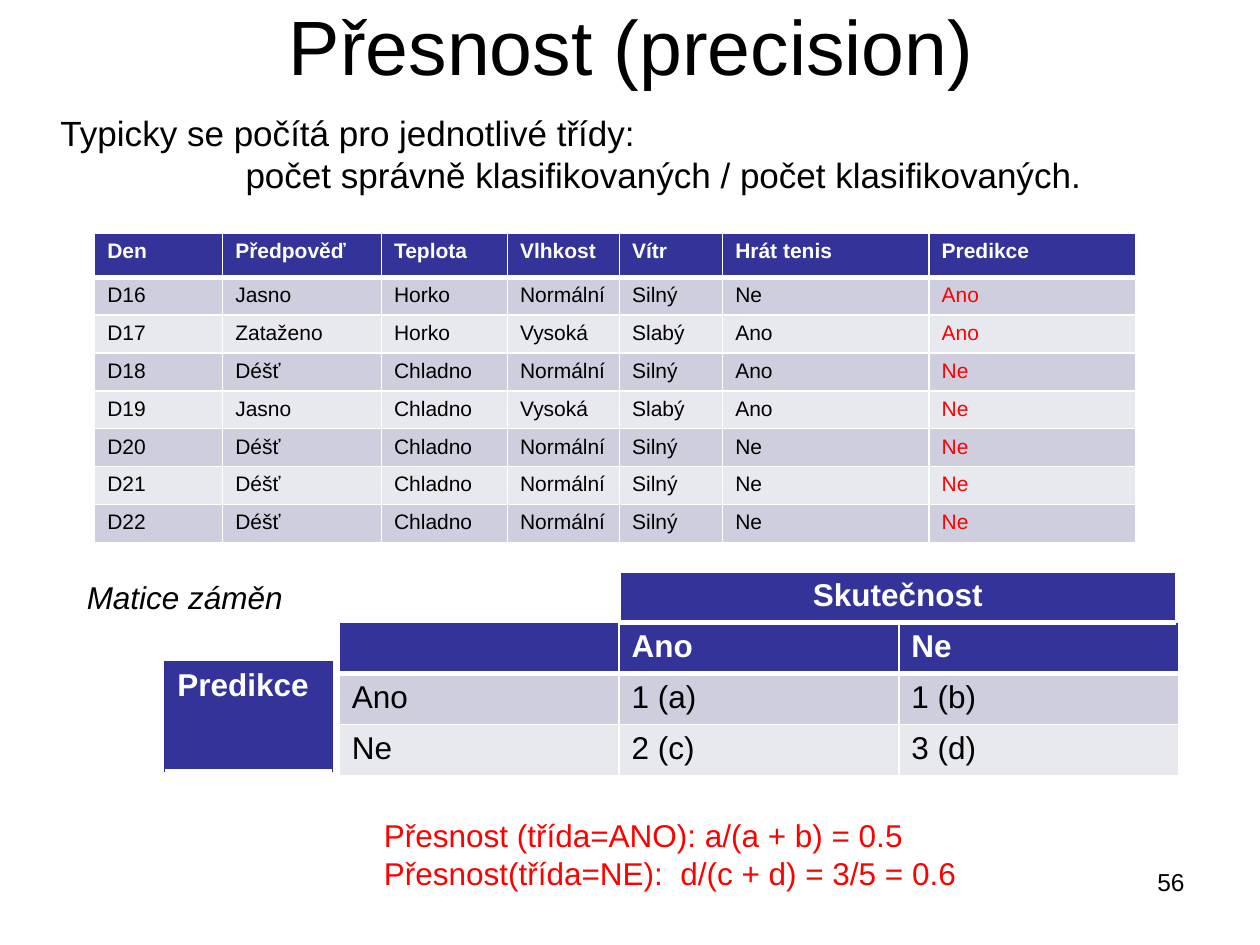
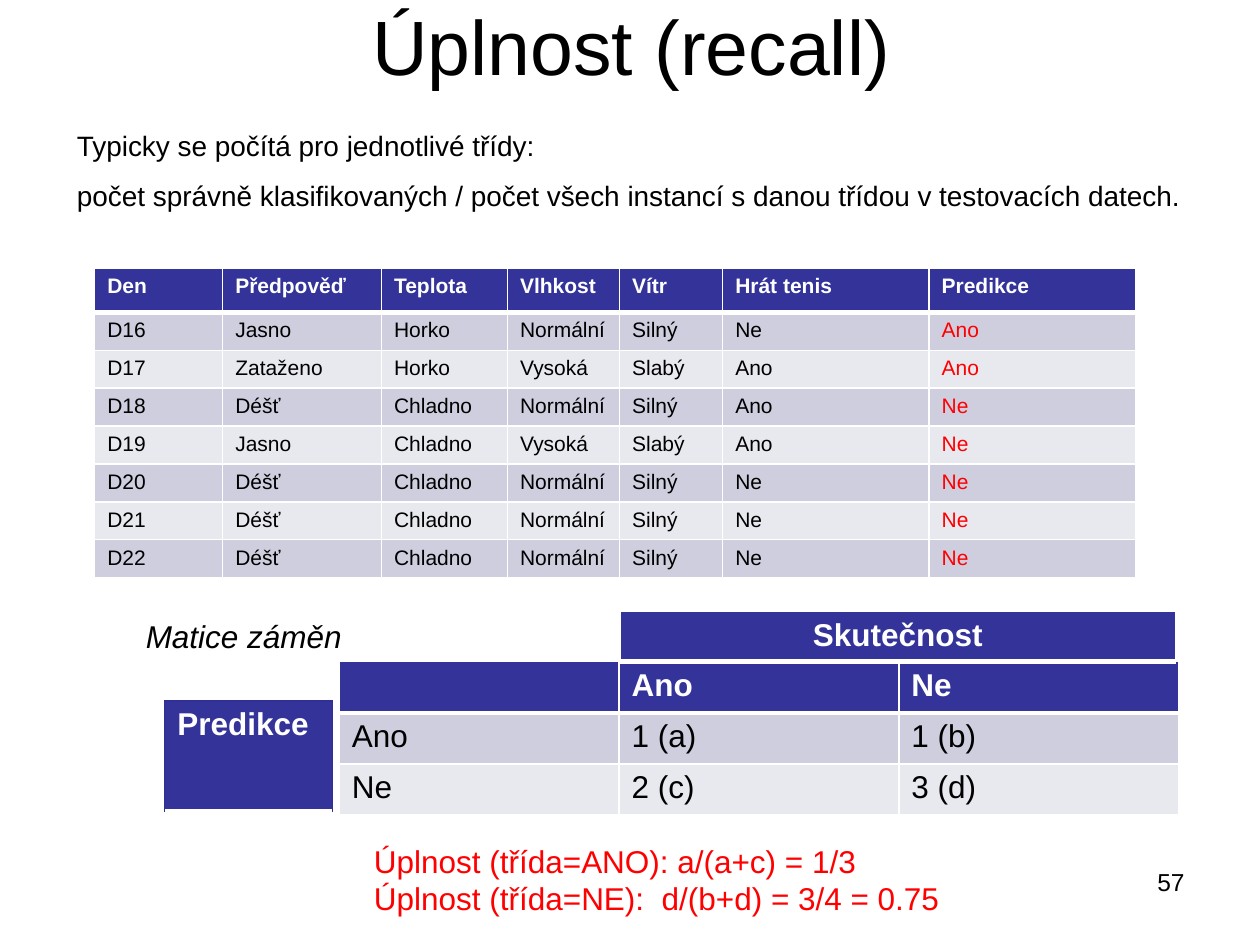
from dataclasses import dataclass
from typing import Optional, Sequence

from lxml.etree import SubElement
from pptx import Presentation
from pptx.dml.color import RGBColor
from pptx.enum.text import MSO_ANCHOR as Anchor, PP_ALIGN as Align
from pptx.oxml.ns import qn
from pptx.util import Cm, Pt


@dataclass(frozen=True)
class Theme:
    font: str = "Arial"
    ink: str = "000000"
    paper: str = "FFFFFF"
    accent: str = "FF0000"
    header: str = "333399"
    header_edge: str = "2F2F98"
    bands: tuple[str, str] = ("CECEDE", "E8E8EF")
    title_size: float = 44
    matrix_size: float = 18
    number_size: float = 14
    weather_size: float = 12


@dataclass(frozen=True)
class Box:
    """Left, top, width and height in centimetres."""
    left: float
    top: float
    width: float
    height: float

    def lengths(self) -> tuple[Cm, Cm, Cm, Cm]:
        return Cm(self.left), Cm(self.top), Cm(self.width), Cm(self.height)


@dataclass(frozen=True)
class Edges:
    """Colour of the cell sides, and width in points of sides and bottom."""
    color: str
    width: float
    bottom_width: float
    bottom_color: str = "FFFFFF"


@dataclass(frozen=True)
class MetricSlide:
    title: str
    definition: str
    definition_left: float
    definition_size: float
    definition_format: dict
    weather_top: float
    matrix_top: float
    caption_left: float
    results: str
    results_left: float
    results_top: float
    number: int


THEME = Theme()
BODY_EDGES = Edges(THEME.paper, 1, 1)
HEADER_EDGES = Edges(THEME.paper, 1, 3)
SIDE_EDGES = Edges(THEME.header_edge, 0.75, 2)

WEATHER_COLUMNS = (2.58, 3.2, 2.54, 2.26, 2.08, 4.16, 4.16)
WEATHER_HEADER_HEIGHT, WEATHER_ROW_HEIGHT = 0.89, 0.76
WEATHER = [
    ("Den", "Předpověď", "Teplota", "Vlhkost", "Vítr", "Hrát tenis", "Predikce"),
    ("D16", "Jasno", "Horko", "Normální", "Silný", "Ne", "Ano"),
    ("D17", "Zataženo", "Horko", "Vysoká", "Slabý", "Ano", "Ano"),
    ("D18", "Déšť", "Chladno", "Normální", "Silný", "Ano", "Ne"),
    ("D19", "Jasno", "Chladno", "Vysoká", "Slabý", "Ano", "Ne"),
    ("D20", "Déšť", "Chladno", "Normální", "Silný", "Ne", "Ne"),
    ("D21", "Déšť", "Chladno", "Normální", "Silný", "Ne", "Ne"),
    ("D22", "Déšť", "Chladno", "Normální", "Silný", "Ne", "Ne"),
]
MATRIX_COLUMNS = (5.64,) * 3
MATRIX_ROW_HEIGHT = 1.03
MATRIX = [("", "Ano", "Ne"), ("Ano", "1 (a)", "1 (b)"), ("Ne", "2 (c)", "3 (d)")]

METRICS = [
    MetricSlide(
        title="Přesnost (precision)",
        definition="Typicky se počítá pro jednotlivé třídy:\v"
                   "počet správně klasifikovaných / počet klasifikovaných.",
        definition_left=0.97, definition_size=20,
        definition_format={"hanging": 3.73, "space_before": 4},
        weather_top=4.7, matrix_top=11.53, caption_left=1.5,
        results="Přesnost (třída=ANO): a/(a + b) = 0.5\n"
                "Přesnost(třída=NE):  d/(c + d) = 3/5 = 0.6",
        results_left=7.49, results_top=16.33, number=56),
    MetricSlide(
        title="Úplnost (recall)",
        definition="Typicky se počítá pro jednotlivé třídy:\v"
                   "počet správně klasifikovaných / počet všech instancí "
                   "s danou třídou v testovacích datech.",
        definition_left=1.3, definition_size=16,
        definition_format={"line_spacing": 1.5, "space_before": 24},
        weather_top=5.41, matrix_top=12.32, caption_left=2.69,
        results="Úplnost (třída=ANO): a/(a+c) = 1/3\n"
                "Úplnost (třída=NE):  d/(b+d) = 3/4 = 0.75",
        results_left=7.29, results_top=16.84, number=57),
]


def write(frame, text: str, *, size: float, color: str = THEME.ink,
          bold: bool = False, italic: bool = False, align: Align = Align.LEFT,
          hanging: float = 0, space_before: float = 0,
          line_spacing: Optional[float] = None) -> None:
    """Fill a text frame; hanging (cm) indents every line after the first."""
    frame.text = text
    for paragraph in frame.paragraphs:
        paragraph.alignment = align
        paragraph.space_before = Pt(space_before)
        paragraph.line_spacing = line_spacing
        if hanging:
            properties = paragraph._p.get_or_add_pPr()
            properties.set("marL", str(Cm(hanging)))
            properties.set("indent", str(-Cm(hanging)))
        for run in paragraph.runs:
            font = run.font
            font.name, font.size = THEME.font, Pt(size)
            font.bold, font.italic = bold, italic
            font.color.rgb = RGBColor.from_string(color)


def add_text(slide, box: Box, text: str, *, anchor: Anchor = Anchor.TOP,
             **text_format) -> None:
    frame = slide.shapes.add_textbox(*box.lengths()).text_frame
    frame.word_wrap = True
    frame.vertical_anchor = anchor
    write(frame, text, **text_format)


def style_cell(cell, fill: str, edges: Edges) -> None:
    properties = cell._tc.get_or_add_tcPr()
    for side in "LRTB":
        bottom = side == "B"
        width = edges.bottom_width if bottom else edges.width
        line = SubElement(properties, qn(f"a:ln{side}"), w=str(Pt(width)))
        solid = SubElement(line, qn("a:solidFill"))
        SubElement(solid, qn("a:srgbClr"),
                   val=edges.bottom_color if bottom else edges.color)
    cell.fill.solid()
    cell.fill.fore_color.rgb = RGBColor.from_string(fill)


def add_grid(slide, left: float, top: float, columns: Sequence[float],
             heights: Sequence[float], rows: Sequence[Sequence[str]], *,
             size: float, header_edges: Edges = HEADER_EDGES,
             header_align: Align = Align.LEFT,
             accent_column: Optional[int] = None) -> None:
    """Draw a table with a header row and banded body rows."""
    box = Box(left, top, sum(columns), sum(heights))
    table = slide.shapes.add_table(len(rows), len(columns), *box.lengths()).table
    for column, width in zip(table.columns, columns):
        column.width = Cm(width)
    for row_index, (row, height) in enumerate(zip(rows, heights)):
        table.rows[row_index].height = Cm(height)
        is_header = row_index == 0
        fill = THEME.header if is_header else THEME.bands[(row_index - 1) % 2]
        for column_index, text in enumerate(row):
            cell = table.cell(row_index, column_index)
            style_cell(cell, fill, header_edges if is_header else BODY_EDGES)
            body_color = THEME.accent if column_index == accent_column else THEME.ink
            write(cell.text_frame, text, size=size, bold=is_header,
                  color=THEME.paper if is_header else body_color,
                  align=header_align if is_header else Align.LEFT)


def add_confusion_matrix(slide, top: float, caption_left: float) -> None:
    size = THEME.matrix_size
    add_text(slide, Box(caption_left, top, 12.8, 1.02), "Matice záměn",
             size=size, italic=True)
    add_grid(slide, 6.84, top + 1.02, MATRIX_COLUMNS,
             [MATRIX_ROW_HEIGHT] * len(MATRIX), MATRIX, size=size)
    add_grid(slide, 12.5, top, [11.2], [1.02], [["Skutečnost"]], size=size,
             header_align=Align.CENTER)
    add_grid(slide, 3.32, top + 1.81, [3.39], [2.2], [["Predikce"]], size=size,
             header_edges=SIDE_EDGES)


def add_metric_slide(deck, metric: MetricSlide) -> None:
    slide = deck.slides.add_slide(deck.slide_layouts[6])
    add_text(slide, Box(1.3, -0.69, 22.86, 3.18), metric.title,
             size=THEME.title_size, align=Align.CENTER, anchor=Anchor.MIDDLE)
    add_text(slide, Box(metric.definition_left, 2.13, 22.86, 13.49),
             metric.definition, size=metric.definition_size,
             **metric.definition_format)
    heights = [WEATHER_HEADER_HEIGHT] + [WEATHER_ROW_HEIGHT] * (len(WEATHER) - 1)
    add_grid(slide, 1.91, metric.weather_top, WEATHER_COLUMNS, heights, WEATHER,
             size=THEME.weather_size, accent_column=len(WEATHER_COLUMNS) - 1)
    add_confusion_matrix(slide, metric.matrix_top, metric.caption_left)
    add_text(slide, Box(metric.results_left, metric.results_top, 12.7, 1.8),
             metric.results, size=THEME.matrix_size, color=THEME.accent)
    add_text(slide, Box(18.21, 17.35, 5.92, 1.32), str(metric.number),
             size=THEME.number_size, align=Align.RIGHT)


def main() -> None:
    deck = Presentation()
    deck.slide_width, deck.slide_height = Cm(25.4), Cm(19.05)
    for metric in METRICS:
        add_metric_slide(deck, metric)
    deck.save("out.pptx")


if __name__ == "__main__":
    main()
